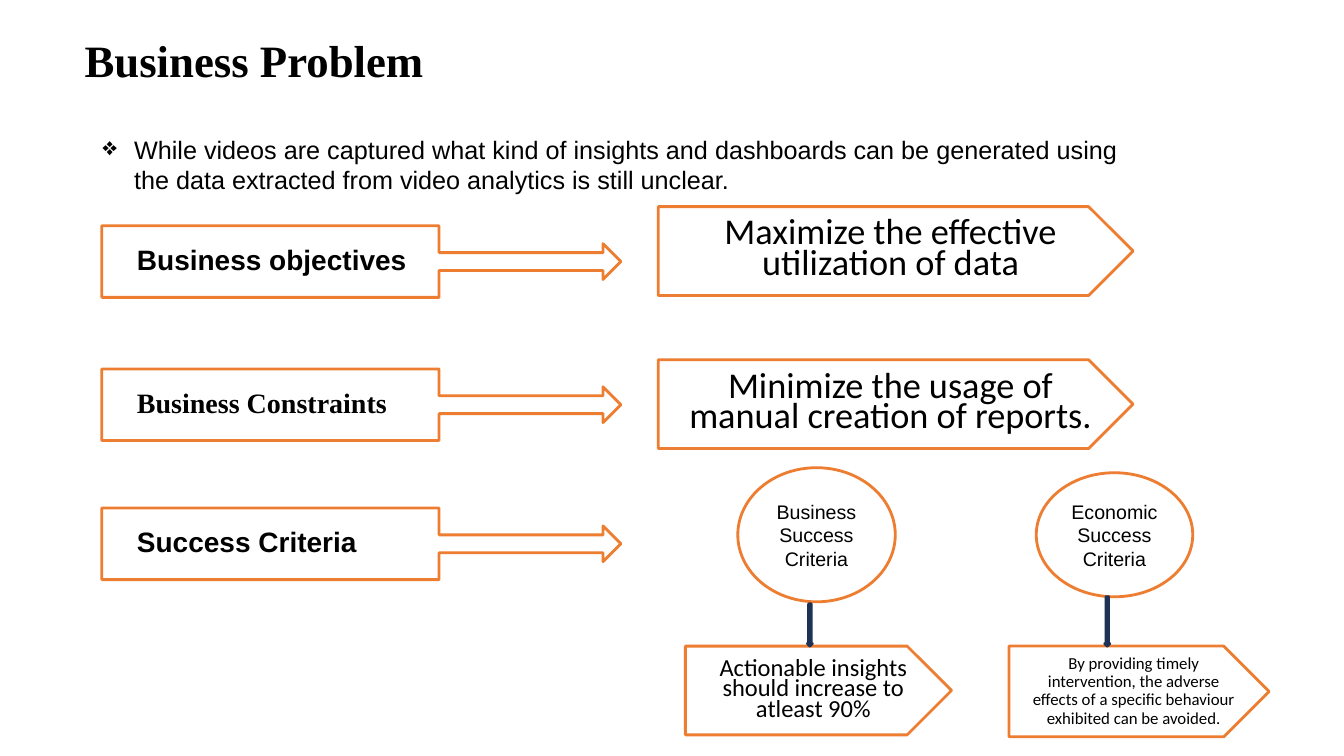
import pptx
import pptx.dml.color
import pptx.enum.shapes
import pptx.enum.text
import pptx.util
from lxml import etree

Pt = pptx.util.Pt
Shapes = pptx.enum.shapes.MSO_SHAPE
Align = pptx.enum.text.PP_ALIGN
Anchor = pptx.enum.text.MSO_ANCHOR

COLORS = {"text": "000000", "fill": "FFFFFF", "outline": "ED7D31",
          "arrow": "4472C4", "arrow outline": "1E3256"}

presentation = pptx.Presentation()
presentation.slide_width = Pt(960)
presentation.slide_height = Pt(540)
slide = presentation.slides.add_slide(presentation.slide_layouts[6])


def add_box(kind, box, fill="fill", outline="outline"):
    shape = slide.shapes.add_shape(kind, *[Pt(length) for length in box])
    shape.shadow.inherit = False
    shape.fill.solid()
    shape.fill.fore_color.rgb = pptx.dml.color.RGBColor.from_string(COLORS[fill])
    shape.line.color.rgb = pptx.dml.color.RGBColor.from_string(COLORS[outline])
    shape.line.width = Pt(2)
    return shape


def write(shape, text, size, font="Arial", bold=False, align=Align.LEFT,
          spacing=None, before=0, margin=0, indent=0, anchor=Anchor.MIDDLE):
    frame = shape.text_frame
    frame.text = text
    frame.word_wrap = True
    frame.vertical_anchor = anchor
    paragraph = frame.paragraphs[0]
    paragraph.alignment = align
    paragraph.line_spacing = spacing
    paragraph.space_before = Pt(before)
    properties = paragraph._p.get_or_add_pPr()
    properties.set("marL", str(Pt(margin)))
    properties.set("indent", str(Pt(indent)))
    run = paragraph.runs[0]
    run.font.size = Pt(size)
    run.font.name = font
    run.font.bold = bold
    run.font.color.rgb = pptx.dml.color.RGBColor.from_string(COLORS["text"])
    return properties


# Title
title = slide.shapes.add_textbox(Pt(53.3), Pt(23.8), Pt(841), Pt(42.5))
write(title, "Business Problem", 32, "Times New Roman", bold=True, spacing=0.9)

# Callouts on the left
for top, label, font in [
    (161.3, "Business objectives", "Arial"),
    (263.5, "Business Constraints", "Times New Roman"),
    (362.9, "Success Criteria", "Arial"),
]:
    callout = add_box(Shapes.RIGHT_ARROW_CALLOUT, (72.7, top, 370.8, 51.1))
    write(callout, label, 20, font, bold=True, spacing=0.9, before=10,
          margin=36, indent=-18)

# Pentagons on the right and at the bottom
for box, text, size, spacing in [
    ((470.2, 147.6, 339.1, 63.4), "Maximize the effective utilization of data", 25.9, 0.7),
    ((470.2, 257, 339.1, 63.4), "Minimize the usage of manual creation of reports.", 25.9, 0.7),
    ((489.6, 461.5, 190.1, 63.4), "Actionable insights should increase to atleast 90%", 17.5, 0.7),
    ((720.7, 461.5, 185.8, 64.8), "By providing timely intervention, the adverse effects of a "
     "specific behaviour exhibited can be avoided.", 12, 0.9),
]:
    pentagon = add_box(Shapes.PENTAGON, box)
    write(pentagon, text, size, "Calibri", align=Align.CENTER,
          spacing=spacing, before=10, margin=8.64)

# Success criteria with their down arrows
for text, oval_box, arrow_box in [
    ("Business Success Criteria", (527, 334.1, 112.5, 95.8), (576.7, 431.3, 3.6, 30.2)),
    ("Economic Success Criteria", (740.2, 337.7, 111.8, 88.6), (789.1, 426.2, 3.6, 35.3)),
]:
    oval = add_box(Shapes.OVAL, oval_box)
    write(oval, text, 14, align=Align.CENTER)
    add_box(Shapes.DOWN_ARROW, arrow_box, "arrow", "arrow outline")

# Bulleted statement
statement = slide.shapes.add_textbox(Pt(66.2), Pt(92.2), Pt(753.8), Pt(51.1))
properties = write(
    statement, "While videos are captured what kind of insights and dashboards can be "
    "generated using the data extracted from video analytics is still unclear.",
    18, margin=22.5, indent=-22.5, anchor=Anchor.TOP)
namespace = "{http://schemas.openxmlformats.org/drawingml/2006/main}"
bullet_color = etree.SubElement(properties, namespace + "buClr")
etree.SubElement(bullet_color, namespace + "srgbClr", val=COLORS["text"])
etree.SubElement(properties, namespace + "buChar", char="❖")

presentation.save("out.pptx")
